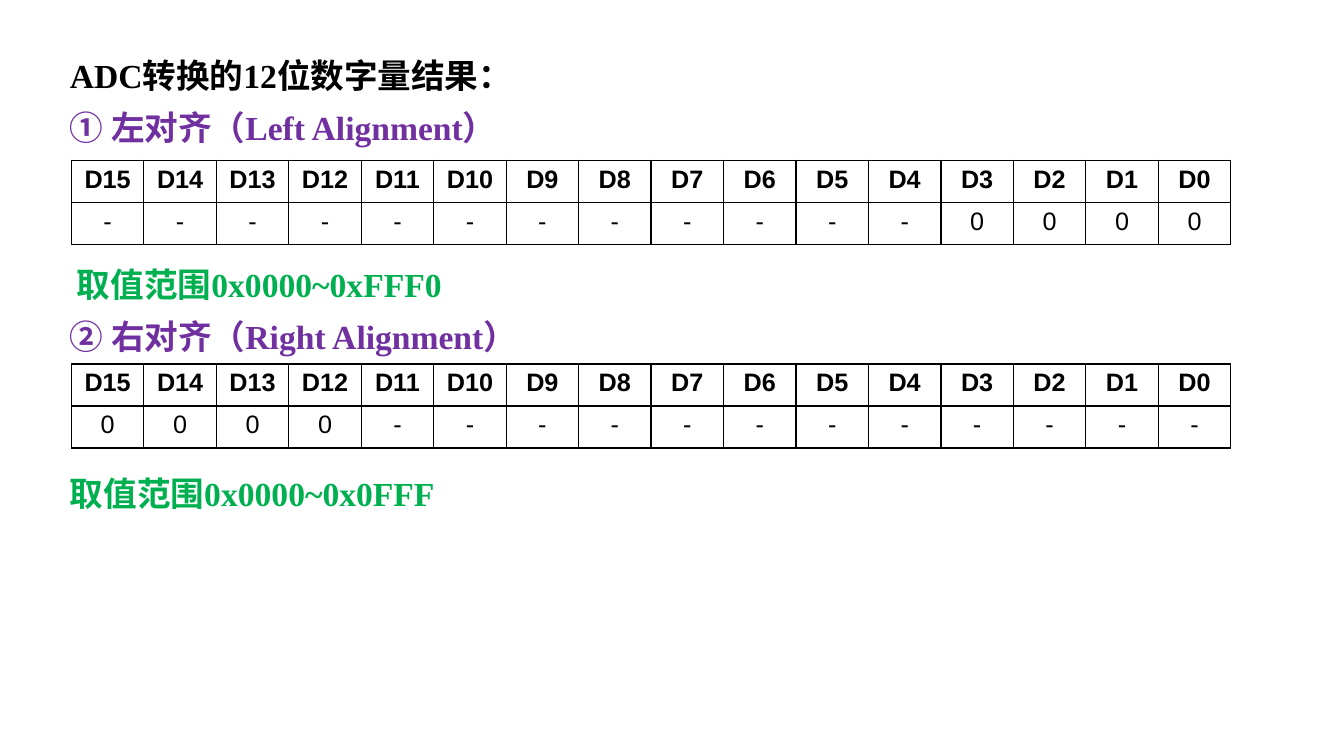
from lxml import etree
from pptx import Presentation
from pptx.dml.color import RGBColor
from pptx.enum.text import MSO_ANCHOR, MSO_AUTO_SIZE, PP_ALIGN
from pptx.oxml.ns import qn
from pptx.util import Cm, Pt

LEFT, CENTER = PP_ALIGN.LEFT, PP_ALIGN.CENTER
TOP, NO_AUTOFIT = MSO_ANCHOR.TOP, MSO_AUTO_SIZE.NONE

# Content
COLORS = {"black": "000000", "purple": "7030A0", "green": "00B050"}
HEADING = "ADC转换的12位数字量结果："
# text, colour, empty lines above it, indent in cm
BODY_LINES = [
    ("① 左对齐（Left Alignment）", "purple", 0, 0),
    ("取值范围0x0000~0xFFF0", "green", 2, 0.18),
    ("② 右对齐（Right Alignment）", "purple", 0, 0),
    ("取值范围0x0000~0x0FFF", "green", 2, 0),
]
BIT_NAMES = [f"D{bit}" for bit in range(15, -1, -1)]
# top in cm, bit values
REGISTERS = [
    (4.04, ["-"] * 12 + ["0"] * 4),
    (9.17, ["0"] * 4 + ["-"] * 12),
]

# Layout
LINE_PITCH = 37.4  # points
LINE_HEIGHT = 1.32  # the same pitch in cm
INSET = 0.13
TEXT_LEFT, TEXT_TOP, TEXT_WIDTH = 1.76, 0.94, 31.39
TABLE_LEFT, TABLE_WIDTH, ROW_HEIGHT = 1.8, 29.23, 1.06


def add_text(paragraph, text, font_name, size, color, bold):
    run = paragraph.add_run()
    run.text = text
    run.font.name = font_name
    run.font.size = Pt(size)
    run.font.bold = bold
    run.font.color.rgb = RGBColor.from_string(COLORS[color])


def place_placeholder(shape, first_line, line_count):
    shape.left, shape.width = Cm(TEXT_LEFT), Cm(TEXT_WIDTH)
    shape.top = Cm(TEXT_TOP + first_line * LINE_HEIGHT)
    shape.height = Cm(line_count * LINE_HEIGHT + 2 * INSET)
    frame = shape.text_frame
    frame.word_wrap = True
    frame.auto_size = NO_AUTOFIT
    frame.vertical_anchor = TOP
    frame.margin_left = frame.margin_right = 0
    frame.margin_top = frame.margin_bottom = Cm(INSET)
    return frame


def write_line(paragraph, text, color, empty_lines=0, indent=0):
    properties = paragraph._p.get_or_add_pPr()
    properties.set("marL", str(Cm(indent)))
    properties.set("indent", "0")
    etree.SubElement(properties, qn("a:buNone"))
    paragraph.alignment = LEFT
    paragraph.line_spacing = Pt(LINE_PITCH)
    paragraph.space_before = Pt(empty_lines * LINE_PITCH)
    add_text(paragraph, text, "Times New Roman", 24, color, True)


def add_borders(cell):
    properties = cell._tc.get_or_add_tcPr()
    for side in ("lnL", "lnR", "lnT", "lnB"):
        line = etree.SubElement(properties, qn(f"a:{side}"), w=str(Pt(1)))
        fill = etree.SubElement(line, qn("a:solidFill"))
        etree.SubElement(fill, qn("a:srgbClr"), val=COLORS["black"])


def add_register(slide, top, values):
    rows = [BIT_NAMES, values]
    table = slide.shapes.add_table(
        len(rows), len(BIT_NAMES), Cm(TABLE_LEFT), Cm(top),
        Cm(TABLE_WIDTH), Cm(ROW_HEIGHT * len(rows))).table
    table.first_row = table.horz_banding = False
    for column in table.columns:
        column.width = Cm(TABLE_WIDTH / len(BIT_NAMES))
    for row_index, texts in enumerate(rows):
        table.rows[row_index].height = Cm(ROW_HEIGHT)
        for column_index, text in enumerate(texts):
            cell = table.cell(row_index, column_index)
            add_borders(cell)
            cell.fill.background()
            paragraph = cell.text_frame.paragraphs[0]
            paragraph.alignment = CENTER
            add_text(paragraph, text, "Arial", 18, "black", row_index == 0)


def main():
    presentation = Presentation()
    presentation.slide_width, presentation.slide_height = Cm(33.87), Cm(19.05)
    slide = presentation.slides.add_slide(presentation.slide_layouts[1])

    # Heading
    title_frame = place_placeholder(slide.shapes.title, 0, 1)
    write_line(title_frame.paragraphs[0], HEADING, "black")

    # Alignment names and value ranges
    line_count = sum(1 + empty_lines for _, _, empty_lines, _ in BODY_LINES)
    body_frame = place_placeholder(slide.placeholders[1], 1, line_count)
    for index, line in enumerate(BODY_LINES):
        paragraph = body_frame.add_paragraph() if index else body_frame.paragraphs[0]
        write_line(paragraph, *line)

    # Register tables
    for top, values in REGISTERS:
        add_register(slide, top, values)

    presentation.save("out.pptx")


if __name__ == "__main__":
    main()
